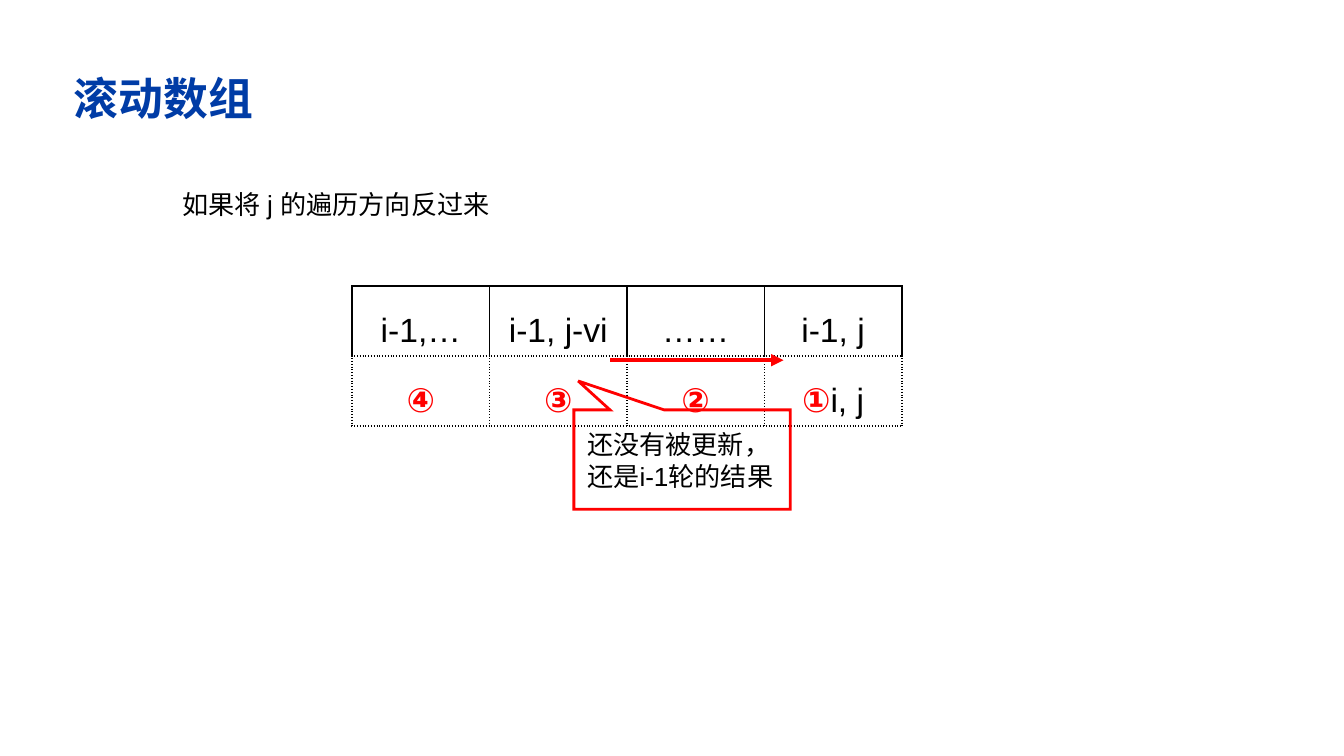
from lxml.etree import SubElement
from pptx import Presentation
from pptx.dml.color import RGBColor
from pptx.enum.shapes import MSO_CONNECTOR, MSO_SHAPE
from pptx.enum.text import MSO_ANCHOR, PP_ALIGN
from pptx.oxml.ns import qn
from pptx.util import Inches, Pt

WIDE = 10
HIGH = WIDE * 9 / 16
LEFT, TOP, COL, ROW = 2.62, 2.13, 4.09 / 4, 0.41
BLACK, RED, BLUE = "000000", "FF0000", "003CA6"
SANS, HAN = "Arial", "Noto Sans CJK SC"
CELLS = [
    [[("i-1,…", BLACK)], [("i-1, j-vi", BLACK)], [("……", BLACK)], [("i-1, j", BLACK)]],
    [[("④", RED)], [("③", RED)], [("②", RED)], [("①", RED), ("i, j", BLACK)]],
]


def paint(color, tone):
    color.rgb = RGBColor.from_string(tone)


def style(run, size, tone, bold=False, face=SANS):
    font = run.font
    font.size, font.bold, font.name = Pt(size), bold, face
    paint(font.color, tone)
    SubElement(font._element, qn("a:ea"), typeface=HAN)


def place(shape, *box):
    shape.left, shape.top, shape.width, shape.height = map(Inches, box)


def add_title(slide, text):
    title = slide.shapes.title
    place(title, 0.48, 0.53, 7.05, 0.55)
    frame = title.text_frame
    frame.text = text
    frame.vertical_anchor = MSO_ANCHOR.TOP
    frame.margin_left = frame.margin_right = Inches(0.07)
    frame.margin_top = frame.margin_bottom = Inches(0.04)
    para = frame.paragraphs[0]
    para.alignment, para.line_spacing = PP_ALIGN.LEFT, 0.9
    style(para.runs[0], 24, BLUE, True, HAN)


def add_note(slide, text, *box):
    frame = slide.shapes.add_textbox(*map(Inches, box)).text_frame
    frame.word_wrap = True
    frame.text = text
    style(frame.paragraphs[0].runs[0], 14, BLACK)


def edge(cell, side, dash):
    line = SubElement(cell._tc.get_or_add_tcPr(), qn("a:ln" + side), w=str(Pt(1)))
    fill = SubElement(line, qn("a:solidFill"))
    SubElement(fill, qn("a:srgbClr"), val=BLACK)
    SubElement(line, qn("a:prstDash"), val=dash)


def add_grid(slide):
    rows, cols = len(CELLS), len(CELLS[0])
    box = map(Inches, (LEFT, TOP, cols * COL, rows * ROW))
    table = slide.shapes.add_table(rows, cols, *box).table
    table.first_row = table.horz_banding = False
    for r, line in enumerate(CELLS):
        for c, parts in enumerate(line):
            cell = table.cell(r, c)
            for side in "LRTB":
                dotted = r == 1 or side == "B"
                edge(cell, side, "sysDot" if dotted else "solid")
            cell.fill.background()
            para = cell.text_frame.paragraphs[0]
            para.alignment, para.line_spacing = PP_ALIGN.CENTER, 1.5
            for text, tone in parts:
                run = para.add_run()
                run.text = text
                style(run, 18, tone, tone == RED)


def add_arrow(slide, start, end, y):
    ends = map(Inches, (start, y, end, y))
    arrow = slide.shapes.add_connector(MSO_CONNECTOR.STRAIGHT, *ends)
    paint(arrow.line.color, RED)
    arrow.line.width = Pt(2.25)
    SubElement(arrow.line._get_or_add_ln(), qn("a:tailEnd"), type="triangle")
    SubElement(arrow._element.spPr, qn("a:effectLst"))


def add_callout(slide, *box):
    shape = slide.shapes.add_shape(MSO_SHAPE.RECTANGULAR_CALLOUT, *map(Inches, box))
    shape.adjustments[0], shape.adjustments[1] = -0.48, -0.79
    shape.shadow.inherit = False
    shape.fill.background()
    paint(shape.line.color, RED)
    shape.line.width = Pt(1.5)
    SubElement(shape.line._get_or_add_ln(), qn("a:miter"), lim="800000")


def main():
    deck = Presentation()
    deck.slide_width, deck.slide_height = Inches(WIDE), Inches(HIGH)
    slide = deck.slides.add_slide(deck.slide_layouts[5])
    add_title(slide, "滚动数组")
    add_grid(slide)
    add_arrow(slide, 4.54, 5.83, 2.68)
    add_callout(slide, 4.27, 3.05, 1.61, 0.74)
    add_note(slide, "还没有被更新，还是i-1轮的结果", 4.27, 3.14, 1.7, 0.57)
    add_note(slide, "如果将 j 的遍历方向反过来", 1.26, 1.35, 3.74, 0.34)
    deck.save("out.pptx")


if __name__ == "__main__":
    main()
